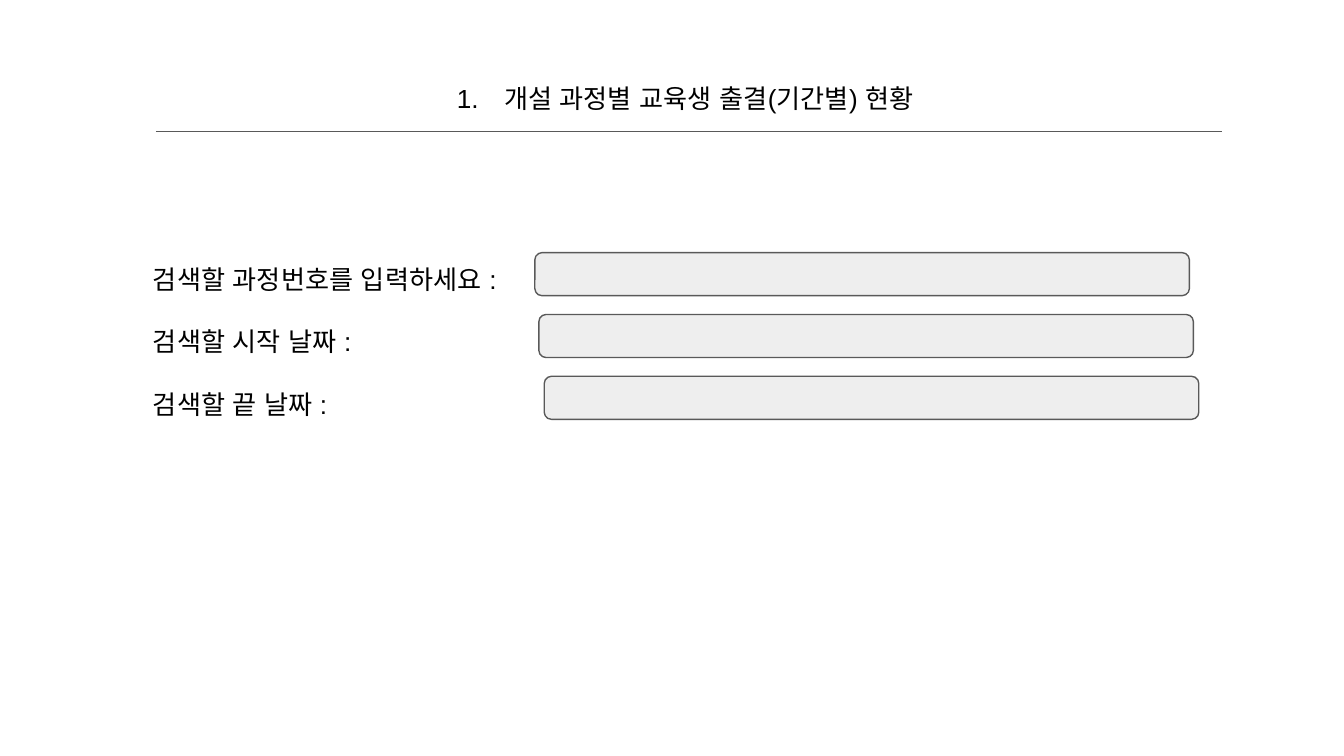
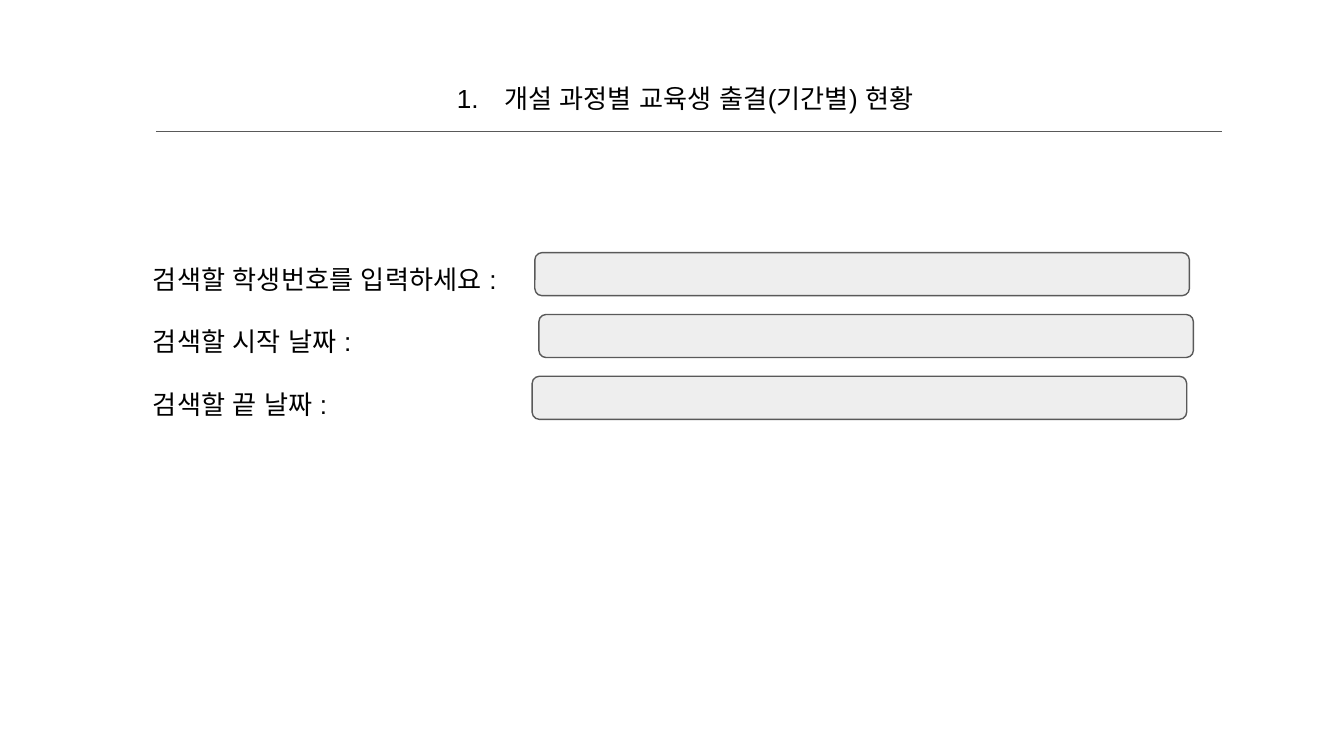
from lxml import etree
from pptx import Presentation
from pptx.dml.color import RGBColor
from pptx.enum.shapes import MSO_CONNECTOR, MSO_SHAPE
from pptx.enum.text import MSO_ANCHOR, MSO_AUTO_SIZE, PP_ALIGN
from pptx.oxml.ns import qn
from pptx.util import Inches, Pt

COLORS = {"text": "000000", "line": "595959", "field": "EEEEEE"}
FONT = "Arial"
TITLE = "개설 과정별 교육생 출결(기간별) 현황"
DATE_LABELS = ["검색할 시작 날짜 :", "검색할 끝 날짜 :"]

# Each form: first label, then the left offset of each field
FORMS = [
    ("검색할 과정번호를 입력하세요 :", [0.02, 0.05, 0.09]),
    ("검색할 학생번호를 입력하세요 :", [0.02, 0.05, 0]),
]


def color(name):
    return RGBColor.from_string(COLORS[name])


def style_frame(frame):
    frame.word_wrap = True
    frame.auto_size = MSO_AUTO_SIZE.NONE
    frame.vertical_anchor = MSO_ANCHOR.TOP
    frame.margin_left = frame.margin_right = Inches(0.1)
    frame.margin_top = frame.margin_bottom = Inches(0.1)
    for paragraph in frame.paragraphs:
        paragraph.alignment = PP_ALIGN.LEFT
        for run in paragraph.runs:
            run.font.size = Pt(14)
            run.font.name = FONT
            run.font.color.rgb = color("text")
            east_asian = etree.SubElement(run.font._element, qn("a:ea"))
            east_asian.set("typeface", FONT)


def number_paragraph(paragraph):
    properties = paragraph._p.get_or_add_pPr()
    properties.set("marL", str(Inches(0.5)))
    properties.set("indent", str(Inches(-0.35)))
    bullet_color = etree.SubElement(properties, qn("a:buClr"))
    etree.SubElement(bullet_color, qn("a:srgbClr")).set("val", COLORS["text"])
    etree.SubElement(properties, qn("a:buAutoNum")).set("type", "arabicPeriod")


def add_header(slide, left, top, width):
    # Numbered title
    title = slide.shapes.title
    title.left, title.top = Inches(left + 1.99), Inches(top)
    title.width, title.height = Inches(5), Inches(0.7)
    title.text_frame.text = TITLE
    heading = title.text_frame.paragraphs[0]
    number_paragraph(heading)
    heading.line_spacing = 1.15
    style_frame(title.text_frame)

    # Rule under the title
    rule_y = Inches(top + 0.5)
    rule = slide.shapes.add_connector(
        MSO_CONNECTOR.STRAIGHT, Inches(left), rule_y, Inches(left + width), rule_y)
    rule.line.color.rgb = color("line")
    rule.line.width = Pt(0.75)
    etree.SubElement(rule._element.spPr, qn("a:effectLst"))


def add_search_form(slide, left, top, width, labels, offsets):
    # Labels
    prompts = slide.shapes.add_textbox(
        Inches(left), Inches(top), Inches(width), Inches(1.3))
    prompts.text_frame.text = "\n".join(labels)
    style_frame(prompts.text_frame)
    for paragraph in prompts.text_frame.paragraphs[1:]:
        paragraph.space_before = Pt(16.6)

    # Input fields
    for row, offset in enumerate(offsets):
        field = slide.shapes.add_shape(
            MSO_SHAPE.ROUNDED_RECTANGLE,
            Inches(left + 2.92 + offset), Inches(top + 0.02 + row * 0.46),
            Inches(4.87), Inches(0.32))
        field.shadow.inherit = False
        field.fill.solid()
        field.fill.fore_color.rgb = color("field")
        field.line.color.rgb = color("line")
        field.line.width = Pt(0.75)


def main():
    deck = Presentation()
    # Widescreen, 16:9
    deck.slide_width = Inches(10)
    deck.slide_height = deck.slide_width * 9 // 16
    for first_label, offsets in FORMS:
        slide = deck.slides.add_slide(deck.slide_layouts[5])
        add_header(slide, 1.16, 0.48, 7.93)
        add_search_form(slide, 1.04, 1.86, 8.06, [first_label, *DATE_LABELS], offsets)
    deck.save("out.pptx")


if __name__ == "__main__":
    main()
